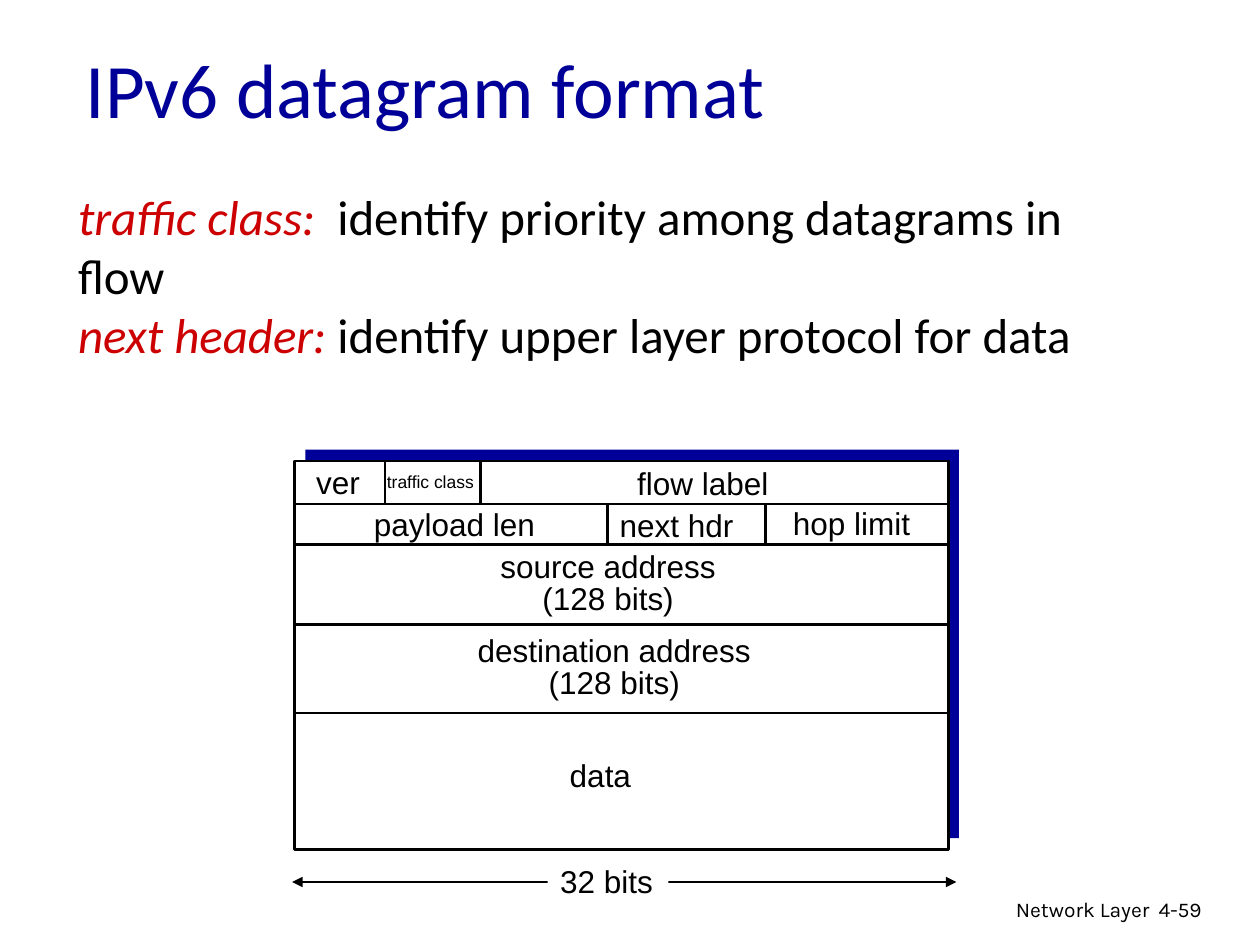
from lxml.etree import SubElement
from pptx import Presentation
from pptx.dml.color import RGBColor
from pptx.enum.shapes import MSO_CONNECTOR as Connector, MSO_SHAPE as Shape
from pptx.enum.text import MSO_ANCHOR as Anchor, MSO_AUTO_SIZE as AutoSize, PP_ALIGN as Align
from pptx.oxml.ns import qn
from pptx.util import Pt

NAVY, RED, BLACK, WHITE = "000099", "CC0000", "000000", "FFFFFF"


def color(value):
    return RGBColor.from_string(value)


def write(frame, paragraphs, font="Arial", size=18, ink=BLACK, align=Align.LEFT, spacing=None):
    for index, spans in enumerate(paragraphs):
        para = frame.add_paragraph() if index else frame.paragraphs[0]
        para.alignment = align
        if spacing:
            para.line_spacing = spacing
        for text, accent in spans:
            span = para.add_run()
            span.text = text
            span.font.name = font
            span.font.size = Pt(size)
            span.font.italic = bool(accent)
            span.font.color.rgb = color(accent or ink)


class Painter:
    def __init__(self, page):
        self.page = page

    def text(self, left, top, width, height, *paragraphs, wrap=True, fill=None,
             anchor=Anchor.TOP, **style):
        box = self.page.shapes.add_textbox(Pt(left), Pt(top), Pt(width), Pt(height))
        frame = box.text_frame
        frame.word_wrap = wrap
        frame.auto_size = AutoSize.NONE
        frame.vertical_anchor = anchor
        if fill:
            box.fill.solid()
            box.fill.fore_color.rgb = color(fill)
        spans = [[(item, None)] if isinstance(item, str) else item for item in paragraphs]
        write(frame, spans, **style)

    def label(self, left, top, width, height, *lines, **style):
        self.text(left, top, width, height, *lines, wrap=False, **style)

    def rectangle(self, left, top, width, height, fill, line=None):
        box = self.page.shapes.add_shape(Shape.RECTANGLE, Pt(left), Pt(top), Pt(width), Pt(height))
        box.shadow.inherit = False
        box.fill.solid()
        box.fill.fore_color.rgb = color(fill)
        if line:
            box.line.color.rgb = color(line)
            box.line.width = Pt(1.5)
        else:
            box.line.fill.background()

    def line(self, x1, y1, x2, y2, width=1.5, arrows=False):
        rule = self.page.shapes.add_connector(
            Connector.STRAIGHT, Pt(x1), Pt(y1), Pt(x2), Pt(y2))
        rule.line.color.rgb = color(BLACK)
        rule.line.width = Pt(width)
        if arrows:
            outline = rule.line._get_or_add_ln()
            for tag in ("a:headEnd", "a:tailEnd"):
                SubElement(outline, qn(tag), type="triangle")
        SubElement(rule._element.spPr, qn("a:effectLst"))


def draw_datagram(painter):
    left, top, width, height = 168.5, 263.5, 373.5, 222
    right = left + width
    first, second, source, destination = 288, 311, 357, 407.5

    painter.rectangle(left + 6, top - 6.5, width, height, NAVY)
    painter.rectangle(left, top, width, height, WHITE, BLACK)
    for y in (first, second, source, destination):
        painter.line(left, y, right, y)
    for x, start, end in ((220, top, first), (274.5, top, first),
                          (347, first, second), (437.5, first, second)):
        painter.line(x, start, x, end)

    for x, y, size, text in (
        (173.5, 261, 43, "ver"),
        (357, 261.5, 93, "flow label"),
        (206.5, 285, 109, "payload len"),
        (347, 285.5, 83, "next hdr"),
        (446, 284.5, 85, "hop limit"),
        (318.5, 428.5, 53, "data"),
    ):
        painter.label(x, y, size, 29, text)
    painter.label(214, 265.5, 68, 19.5, "traffic class", size=10)
    for x, y, size, text in ((277.5, 312.5, 140, "source address"),
                             (264, 360.5, 174, "destination address")):
        painter.label(x, y, size, 44, text, "(128 bits)", align=Align.CENTER, spacing=0.85)

    painter.line(167, 504, 546.5, 504, width=0.75, arrows=True)
    painter.label(313, 489, 69, 29, "32 bits", fill=WHITE)


def main():
    deck = Presentation()
    deck.slide_width, deck.slide_height = Pt(720), Pt(540)
    page = deck.slides.add_slide(deck.slide_layouts[6])
    painter = Painter(page)

    painter.text(435.5, 509, 228.5, 22, "Network Layer", font="Karla", size=12, align=Align.RIGHT)
    painter.text(655, 509, 53.5, 22, "4-59", font="Karla", size=12)
    painter.text(42, 14.5, 612, 71.5, "IPv6 datagram format",
                 font="Calibri", size=44, ink=NAVY, anchor=Anchor.MIDDLE)
    painter.text(37.5, 103, 624, 75,
                 [("traffic class:", RED), ("  identify priority among datagrams in flow", None)],
                 [("next header:", RED), (" identify upper layer protocol for data", None)],
                 font="Calibri", size=28)
    draw_datagram(painter)
    deck.save("out.pptx")


if __name__ == "__main__":
    main()
